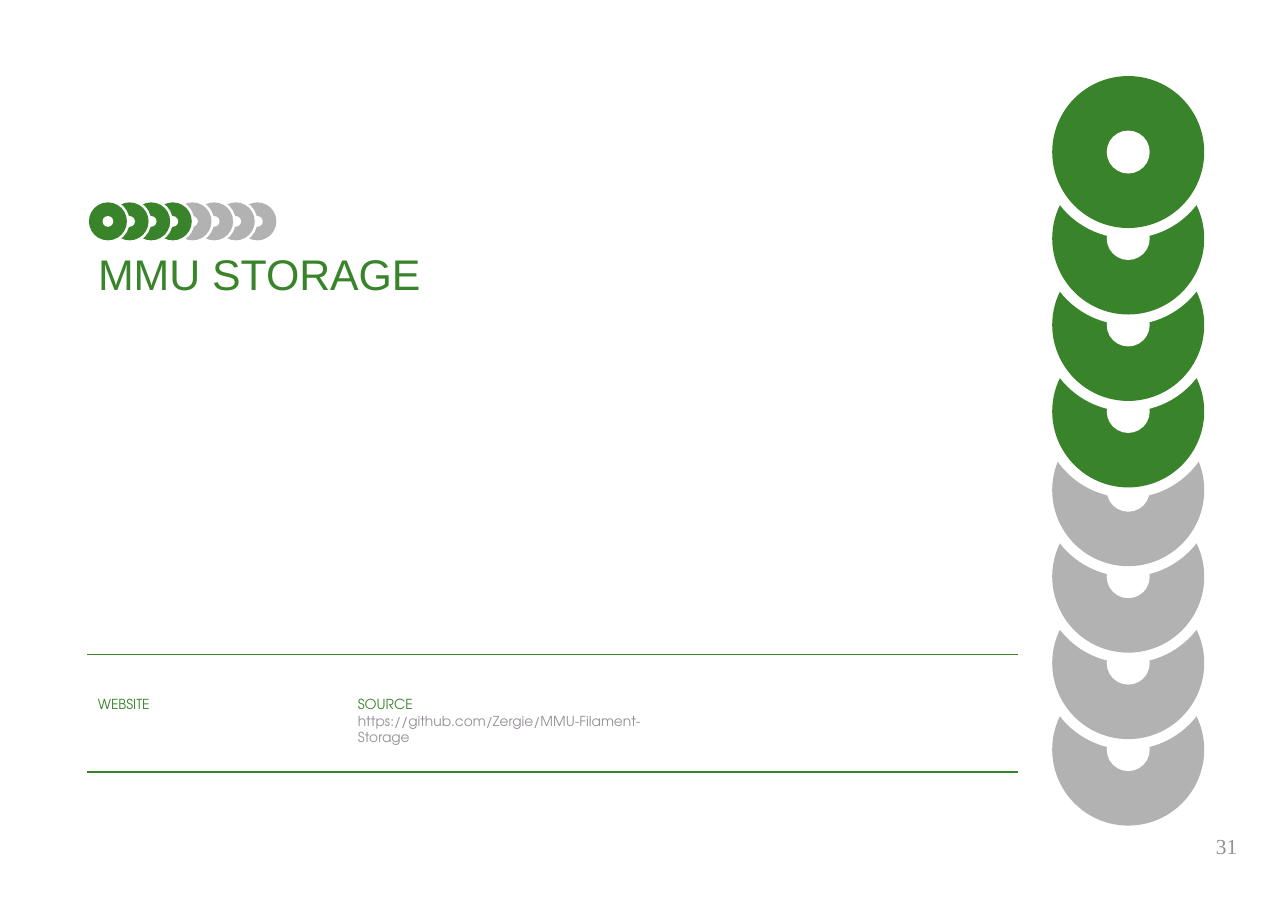
from dataclasses import dataclass

import pptx
import pptx.dml.color
import pptx.enum.shapes
import pptx.enum.text
import pptx.oxml
import pptx.util
from pptx.util import Inches

GREEN = pptx.dml.color.RGBColor(0x39, 0x84, 0x2A)
SILVER = pptx.dml.color.RGBColor(0xB2, 0xB2, 0xB2)
WHITE = pptx.dml.color.RGBColor(0xFF, 0xFF, 0xFF)
GRAY = pptx.dml.color.RGBColor(0x98, 0x8F, 0x9B)

HEADING_FONT = "Arial"
BODY_FONT = "TeX Gyre Adventor"
NUMBER_FONT = "Times New Roman"

# Full-size spool: white rim, coloured disc, white hole
RIM, DISC, HOLE = 1.57, 1.38, 0.39
SPOOL_COUNT = 8
GREEN_COUNT = 4
COLOR_SHIFT = 0.07  # the silver spools sit this much closer to the green ones


@dataclass(frozen=True)
class SpoolChain:
    x: float  # centre of the first spool
    y: float
    scale: float
    vertical: bool
    last_has_rim: bool


@dataclass(frozen=True)
class Span:
    text: str
    font: str
    size: float
    color: pptx.dml.color.RGBColor


@dataclass(frozen=True)
class TextBlock:
    left: float
    top: float
    width: float
    height: float
    spans: tuple[Span, ...]  # one paragraph each
    inset_x: float = 0.1
    inset_y: float = 0.05
    align: pptx.enum.text.PP_ALIGN = pptx.enum.text.PP_ALIGN.LEFT


CHAINS = (
    SpoolChain(10.24, 1.38, 1, vertical=True, last_has_rim=False),
    SpoolChain(0.98, 2.01, 0.25, vertical=False, last_has_rim=True),
)
HEADING = TextBlock(0.79, 2.2, 5.27, 0.53,
                    (Span("MMU STORAGE", HEADING_FONT, 28, GREEN),))
TEXT_BLOCKS = (
    TextBlock(0.79, 6.27, 2.36, 0.44, (Span("WEBSITE", BODY_FONT, 9, GREEN),)),
    TextBlock(3.15, 6.27, 3.13, 0.44, (
        Span("SOURCE", BODY_FONT, 9, GREEN),
        Span("https://github.com/Zergie/MMU-Filament-Storage", BODY_FONT, 9, GRAY),
    )),
    TextBlock(8.69, 7.56, 2.54, 0.52, (Span("31", NUMBER_FONT, 14, GRAY),),
              inset_x=0, inset_y=0, align=pptx.enum.text.PP_ALIGN.RIGHT),
)
RULE_LEFT, RULE_RIGHT = 0.79, 9.24
RULE_HEIGHTS = (5.94, 7.01)


def draw_circle(group, x: float, y: float, size: float,
                color: pptx.dml.color.RGBColor) -> None:
    circle = group.shapes.add_shape(
        pptx.enum.shapes.MSO_SHAPE.OVAL,
        Inches(x - size / 2), Inches(y - size / 2), Inches(size), Inches(size))
    circle.shadow.inherit = False
    circle.fill.solid()
    circle.fill.fore_color.rgb = color
    circle.line.fill.background()


def draw_chain(slide, chain: SpoolChain) -> None:
    """Draw from the last spool to the first, so the first lies on top."""
    group = slide.shapes.add_group_shape()
    for index in reversed(range(SPOOL_COUNT)):
        is_green = index < GREEN_COUNT
        offset = index * RIM / 2 - (0 if is_green else COLOR_SHIFT)
        offset *= chain.scale
        x = chain.x + (0 if chain.vertical else offset)
        y = chain.y + (offset if chain.vertical else 0)
        if chain.last_has_rim or index < SPOOL_COUNT - 1:
            draw_circle(group, x, y, RIM * chain.scale, WHITE)
        draw_circle(group, x, y, DISC * chain.scale, GREEN if is_green else SILVER)
        draw_circle(group, x, y, HOLE * chain.scale, WHITE)


def draw_rule(slide, y: float) -> None:
    rule = slide.shapes.add_connector(
        pptx.enum.shapes.MSO_CONNECTOR.STRAIGHT,
        Inches(RULE_LEFT), Inches(y), Inches(RULE_RIGHT), Inches(y))
    rule.line.color.rgb = GREEN
    rule.line.width = pptx.util.Pt(1)
    rule._element.spPr.append(pptx.oxml.parse_xml(
        '<a:effectLst xmlns:a="http://schemas.openxmlformats.org/drawingml/2006/main"/>'))


def fill_text(frame, block: TextBlock) -> None:
    frame.word_wrap = True
    frame.auto_size = pptx.enum.text.MSO_AUTO_SIZE.NONE
    frame.vertical_anchor = pptx.enum.text.MSO_ANCHOR.TOP
    frame.margin_left = frame.margin_right = Inches(block.inset_x)
    frame.margin_top = frame.margin_bottom = Inches(block.inset_y)
    for index, span in enumerate(block.spans):
        paragraph = frame.add_paragraph() if index else frame.paragraphs[0]
        paragraph.alignment = block.align
        run = paragraph.add_run()
        run.text = span.text
        run.font.name = span.font
        run.font.size = pptx.util.Pt(span.size)
        run.font.color.rgb = span.color


def draw_heading(slide, block: TextBlock) -> None:
    heading = slide.shapes.title
    heading.left, heading.top = Inches(block.left), Inches(block.top)
    heading.width, heading.height = Inches(block.width), Inches(block.height)
    fill_text(heading.text_frame, block)


def draw_text(slide, block: TextBlock) -> None:
    box = slide.shapes.add_textbox(Inches(block.left), Inches(block.top),
                                   Inches(block.width), Inches(block.height))
    fill_text(box.text_frame, block)


def main() -> None:
    presentation = pptx.Presentation()
    presentation.slide_width = Inches(11.69)
    presentation.slide_height = Inches(8.27)
    slide = presentation.slides.add_slide(presentation.slide_layouts[5])

    # Heading and spool chains
    draw_heading(slide, HEADING)
    for chain in CHAINS:
        draw_chain(slide, chain)

    # Link band and slide number
    for y in RULE_HEIGHTS:
        draw_rule(slide, y)
    for block in TEXT_BLOCKS:
        draw_text(slide, block)

    presentation.save("out.pptx")


if __name__ == "__main__":
    main()
